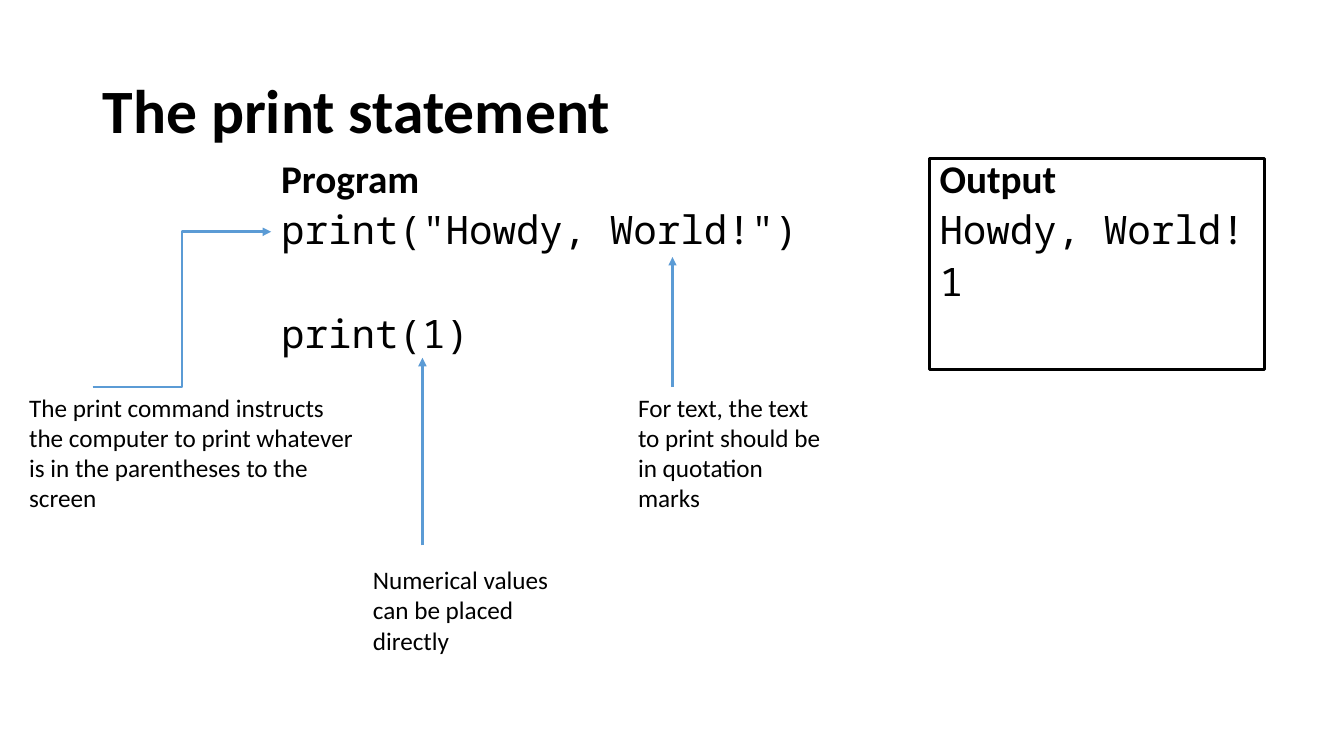
from lxml import etree
from pptx import Presentation
from pptx import util as u
from pptx.dml.color import RGBColor
from pptx.enum import shapes, text
from pptx.oxml.ns import qn

BLACK, BLUE = "000000", "5B9BD5"
SANS, MONO = "Calibri", "Noto Sans Mono"


def color(value):
    return RGBColor.from_string(value)


def write(box, lines, size=18, anchor=text.MSO_ANCHOR.TOP, line_spacing=1.0):
    """Fill a box with lines given as (words, font, bold, points before)."""
    frame = box.text_frame
    frame.word_wrap = True
    frame.vertical_anchor = anchor
    for index, (words, font, bold, before) in enumerate(lines):
        para = frame.add_paragraph() if index else frame.paragraphs[0]
        para.alignment = text.PP_ALIGN.LEFT
        para.line_spacing = line_spacing
        para.space_before = u.Pt(before)
        span = para.add_run()
        span.text = words
        span.font.name = font
        span.font.size = u.Pt(size)
        span.font.bold = bold
        span.font.color.rgb = color(BLACK)


deck = Presentation()
deck.slide_width, deck.slide_height = u.Inches(13.33), u.Inches(7.5)
page = deck.slides.add_slide(deck.slide_layouts[6])

# Title
title = page.shapes.add_textbox(*map(u.Inches, (0.92, 0.4, 11.5, 1.45)))
write(title, [("The print statement", SANS, True, 0)], size=44,
      anchor=text.MSO_ANCHOR.MIDDLE, line_spacing=0.9)

# Program and its output, side by side
program = page.shapes.add_textbox(*map(u.Inches, (2.69, 1.57, 5.48, 2.1)))
write(program, [
    ("Program", SANS, True, 10),
    ('print("Howdy, World!")', MONO, False, 10),
    ("print(1)", MONO, False, 47),
], size=28, line_spacing=0.8)

output = page.shapes.add_shape(shapes.MSO_SHAPE.RECTANGLE,
                               *map(u.Inches, (9.22, 1.57, 3.32, 2.1)))
output.shadow.inherit = False
output.fill.background()
output.line.color.rgb = color(BLACK)
output.line.width = u.Pt(2)
write(output, [
    ("Output", SANS, True, 10),
    ("Howdy, World!", MONO, False, 10),
    ("1", MONO, False, 10),
], size=28, line_spacing=0.8)

# Explanations
notes = [
    ("The print command instructs the computer to print whatever is in the "
     "parentheses to the screen", (0.19, 3.84, 3.41, 1.31)),
    ("For text, the text to print should be in quotation marks",
     (6.23, 3.84, 2.04, 1.31)),
    ("Numerical values can be placed directly", (3.6, 5.55, 2.04, 1.01)),
]
for words, place in notes:
    note = page.shapes.add_textbox(*map(u.Inches, place))
    write(note, [(words, SANS, False, 0)])

# Arrows from the explanations to the code
arrows = [
    (shapes.MSO_CONNECTOR.ELBOW, (0.92, 3.84, 2.69, 2.3)),
    (shapes.MSO_CONNECTOR.STRAIGHT, (6.67, 3.84, 6.67, 2.55)),
    (shapes.MSO_CONNECTOR.STRAIGHT, (4.19, 5.41, 4.19, 3.55)),
]
for kind, ends in arrows:
    arrow = page.shapes.add_connector(kind, *map(u.Inches, ends))
    arrow.line.color.rgb = color(BLUE)
    arrow.line.width = u.Pt(2)
    properties = arrow._element.spPr
    etree.SubElement(properties.find(qn("a:ln")), qn("a:tailEnd"), type="triangle")
    etree.SubElement(properties, qn("a:effectLst"))

deck.save("out.pptx")
